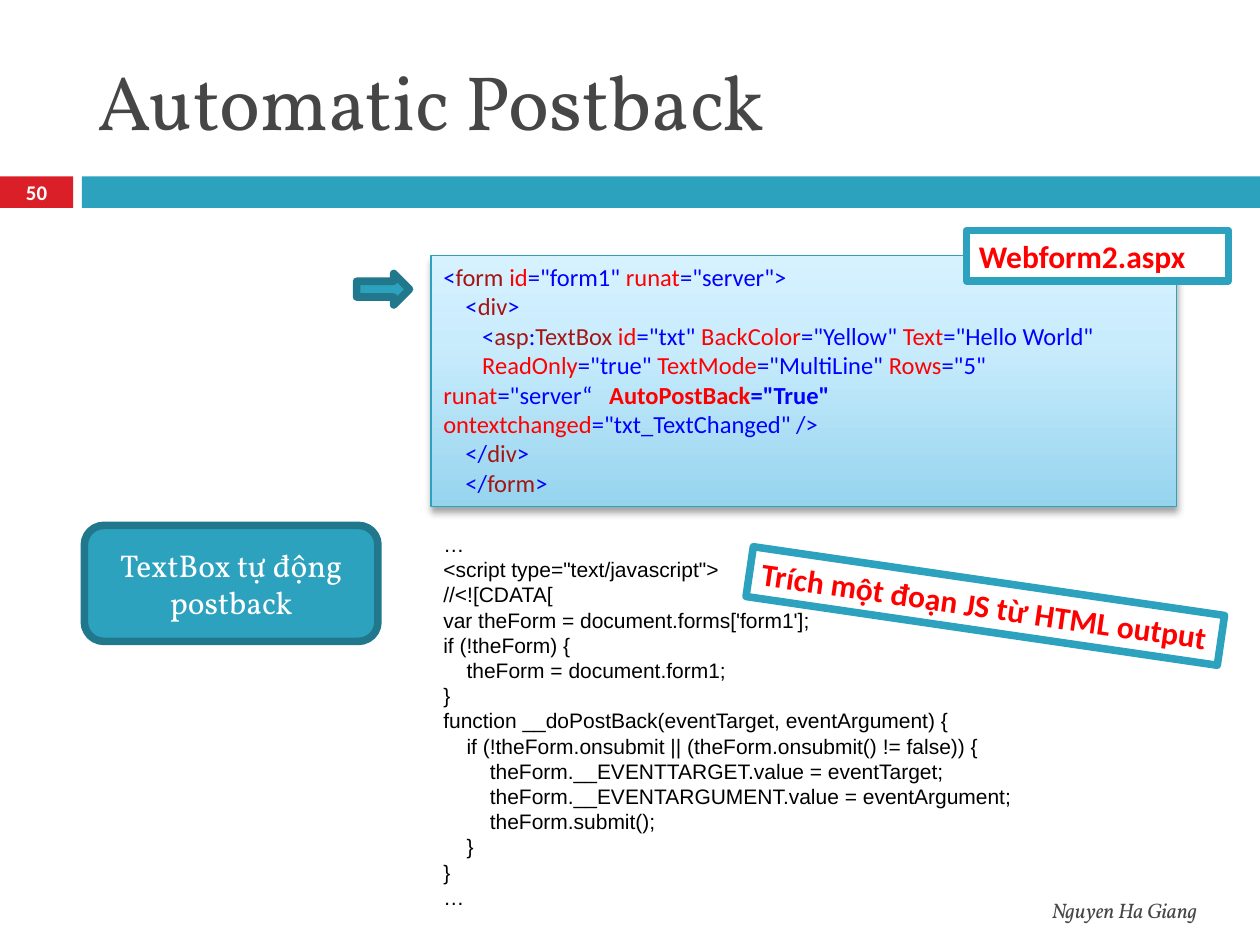
from dataclasses import dataclass

from lxml.etree import SubElement
from pptx import Presentation
from pptx.dml.color import RGBColor
from pptx.enum.shapes import MSO_SHAPE
from pptx.enum.text import MSO_ANCHOR, MSO_AUTO_SIZE, PP_ALIGN
from pptx.oxml.ns import qn
from pptx.util import Pt

PX = 9144  # EMU per px, 100 px to the inch


@dataclass(frozen=True)
class Theme:
    accent: str = "2DA2BF"
    accent_dark: str = "21788D"
    red_tab: str = "DA1F28"
    heading: str = "464646"
    white: str = "FFFFFF"
    black: str = "000000"
    highlight: str = "FF0000"
    symbol: str = "0000FF"
    tag: str = "A31515"
    panel_stops: tuple = ((0, "96D4EE"), (65, "C9ECFC"), (100, "D7F2FF"))
    serif: str = "Vollkorn"
    sans: str = "Calibri"
    script: str = "Arial"
    title_size: float = 44
    label_size: float = 18
    markup_size: float = 14
    script_size: float = 12
    script_leading: float = 14.4
    footer_size: float = 12
    number_size: float = 11.9
    thick: float = 4.33
    thin: float = 0.75


THEME = Theme()
S, T, A = THEME.symbol, THEME.tag, THEME.highlight

# Each line is a list of (text, colour); "\v" breaks a line within its paragraph
MARKUP = [
    [("<", S), ("form ", T), ("id", A), ('="form1" ', S), ("runat", A), ('="server">', S)],
    [("    <", S), ("div", T), (">", S)],
    [("       <", S), ("asp", T), (":", S), ("TextBox ", T), ("id", A), ('="txt" ', S),
     ("BackColor", A), ('="Yellow" ', S), ("Text", A), ('="Hello World"', S)],
    [("       ", S), ("ReadOnly", A), ('="true" ', S), ("TextMode", A), ('="MultiLine" ', S),
     ("Rows", A), ('="5"', S), ("\v", S), ("runat", A), ('="server“   ', S),
     ("AutoPostBack", A), ('="True"', S), ("\v", S),
     ("ontextchanged", A), ('="txt_TextChanged" />', S)],
    [("    </", S), ("div", T), (">", S)],
    [("    </", S), ("form", T), (">", S)],
]
BOLD_MARKUP = {"AutoPostBack", '="True"'}

SCRIPT = """…
<script type="text/javascript">
//<![CDATA[
var theForm = document.forms['form1'];
if (!theForm) {
    theForm = document.form1;
}
function __doPostBack(eventTarget, eventArgument) {
    if (!theForm.onsubmit || (theForm.onsubmit() != false)) {
        theForm.__EVENTTARGET.value = eventTarget;
        theForm.__EVENTARGUMENT.value = eventArgument;
        theForm.submit();
    }
}
…"""


def emu(box):
    return [length * PX for length in box]


def color(value):
    return RGBColor.from_string(value)


def style(paragraph, name, size, fill=None, bold=False, italic=False, align=PP_ALIGN.LEFT):
    paragraph.alignment = align
    font = paragraph.font
    font.name, font.size, font.bold, font.italic = name, Pt(size), bold, italic
    if fill:
        font.color.rgb = color(fill)


def add_block(slide, kind, box, fill=None, line=None, width=THEME.thick):
    shape = slide.shapes.add_shape(kind, *emu(box))
    shape.shadow.inherit = False
    if fill:
        shape.fill.solid()
        shape.fill.fore_color.rgb = color(fill)
    if line:
        shape.line.color.rgb = color(line)
        shape.line.width = Pt(width)
    else:
        shape.line.fill.background()
    return shape


def add_text(slide, box, text, anchor=MSO_ANCHOR.MIDDLE, **font):
    frame = slide.shapes.add_textbox(*emu(box)).text_frame
    frame.word_wrap = True
    frame.vertical_anchor = anchor
    frame.text = text
    for paragraph in frame.paragraphs:
        style(paragraph, **font)
    return frame


def add_title(slide, box, text):
    title = slide.shapes.title
    title.left, title.top, title.width, title.height = emu(box)
    frame = title.text_frame
    frame.text = text
    frame.auto_size = MSO_AUTO_SIZE.NONE
    frame.vertical_anchor = MSO_ANCHOR.MIDDLE
    style(frame.paragraphs[0], THEME.serif, THEME.title_size, THEME.heading)


def add_number_bar(slide, box, number):
    left, top, width, height = box
    tab, gap = 58, 7
    tab_box = (left, top, tab, height)
    add_block(slide, MSO_SHAPE.RECTANGLE, tab_box, THEME.red_tab)
    add_block(slide, MSO_SHAPE.RECTANGLE,
              (left + tab + gap, top, width - tab - gap, height), THEME.accent)
    add_text(slide, tab_box, number, name=THEME.sans, size=THEME.number_size,
             fill=THEME.white, bold=True, align=PP_ALIGN.CENTER)


def add_panel_effects(shape):
    # Vertical gradient, dark at the bottom
    shape.fill.gradient()
    shape.fill.gradient_angle = 90
    properties = shape._element.spPr
    stops = properties.find(".//" + qn("a:gsLst"))
    stops.clear()
    for position, value in THEME.panel_stops:
        stop = SubElement(stops, qn("a:gs"), pos=str(position * 1000))
        SubElement(stop, qn("a:srgbClr"), val=value)
    # Soft shadow below
    shadow = SubElement(properties.find(qn("a:effectLst")), qn("a:outerShdw"),
                        blurRad=str(Pt(4)), dist=str(Pt(3)), dir="5400000", rotWithShape="0")
    shade = SubElement(shadow, qn("a:srgbClr"), val=THEME.black)
    SubElement(shade, qn("a:alpha"), val="35000")


def add_markup_panel(slide, box):
    panel = add_block(slide, MSO_SHAPE.RECTANGLE, box, line=THEME.accent, width=THEME.thin)
    add_panel_effects(panel)
    frame = panel.text_frame
    frame.word_wrap = True
    frame.auto_size = MSO_AUTO_SIZE.SHAPE_TO_FIT_TEXT
    frame.vertical_anchor = MSO_ANCHOR.TOP
    for index, line in enumerate(MARKUP):
        paragraph = frame.add_paragraph() if index else frame.paragraphs[0]
        style(paragraph, THEME.sans, THEME.markup_size)
        for text, fill in line:
            if text == "\v":
                paragraph.add_line_break()
                continue
            run = paragraph.add_run()
            run.text = text
            run.font.color.rgb = color(fill)
            if text in BOLD_MARKUP:
                run.font.bold = True


def add_script(slide, box):
    frame = add_text(slide, box, SCRIPT, MSO_ANCHOR.TOP, name=THEME.script,
                     size=THEME.script_size, fill=THEME.black)
    for paragraph in frame.paragraphs:
        paragraph.line_spacing = Pt(THEME.script_leading)


def add_label(slide, box, text, rotation=0):
    label = add_block(slide, MSO_SHAPE.RECTANGLE, box, THEME.white, THEME.accent)
    label.rotation = rotation
    frame = label.text_frame
    frame.text = text
    frame.word_wrap = False
    frame.auto_size = MSO_AUTO_SIZE.SHAPE_TO_FIT_TEXT
    frame.vertical_anchor = MSO_ANCHOR.TOP
    style(frame.paragraphs[0], THEME.sans, THEME.label_size, THEME.highlight, bold=True)


def add_callout(slide, box, text):
    callout = add_block(slide, MSO_SHAPE.ROUNDED_RECTANGLE, box, THEME.accent, THEME.accent_dark)
    frame = callout.text_frame
    frame.text = text
    frame.word_wrap = True
    frame.vertical_anchor = MSO_ANCHOR.MIDDLE
    style(frame.paragraphs[0], THEME.serif, THEME.label_size, THEME.white, align=PP_ALIGN.CENTER)


def main():
    presentation = Presentation()
    presentation.slide_width, presentation.slide_height = emu((1000, 750))
    slide = presentation.slides.add_slide(presentation.slide_layouts[5])

    # Heading and footer
    add_title(slide, (67, 25, 892, 108), "Automatic Postback")
    add_number_bar(slide, (0, 140, 1000, 25), "50")
    add_text(slide, (367, 702, 593, 40), "Nguyen Ha Giang", name=THEME.serif,
             size=THEME.footer_size, fill=THEME.heading, italic=True, align=PP_ALIGN.RIGHT)

    # Web form markup
    add_markup_panel(slide, (342, 203, 592, 199))
    add_block(slide, MSO_SHAPE.RIGHT_ARROW, (283, 217, 42, 25), THEME.accent, THEME.accent_dark)
    add_label(slide, (767, 183, 208, 40), "Webform2.aspx")

    # Generated script
    add_script(slide, (342, 417, 592, 313))
    add_label(slide, (593, 461, 378, 40), "Trích một đoạn JS từ HTML output", rotation=8.3)
    add_callout(slide, (67, 417, 233, 92), "TextBox tự động postback")

    presentation.save("out.pptx")


if __name__ == "__main__":
    main()
